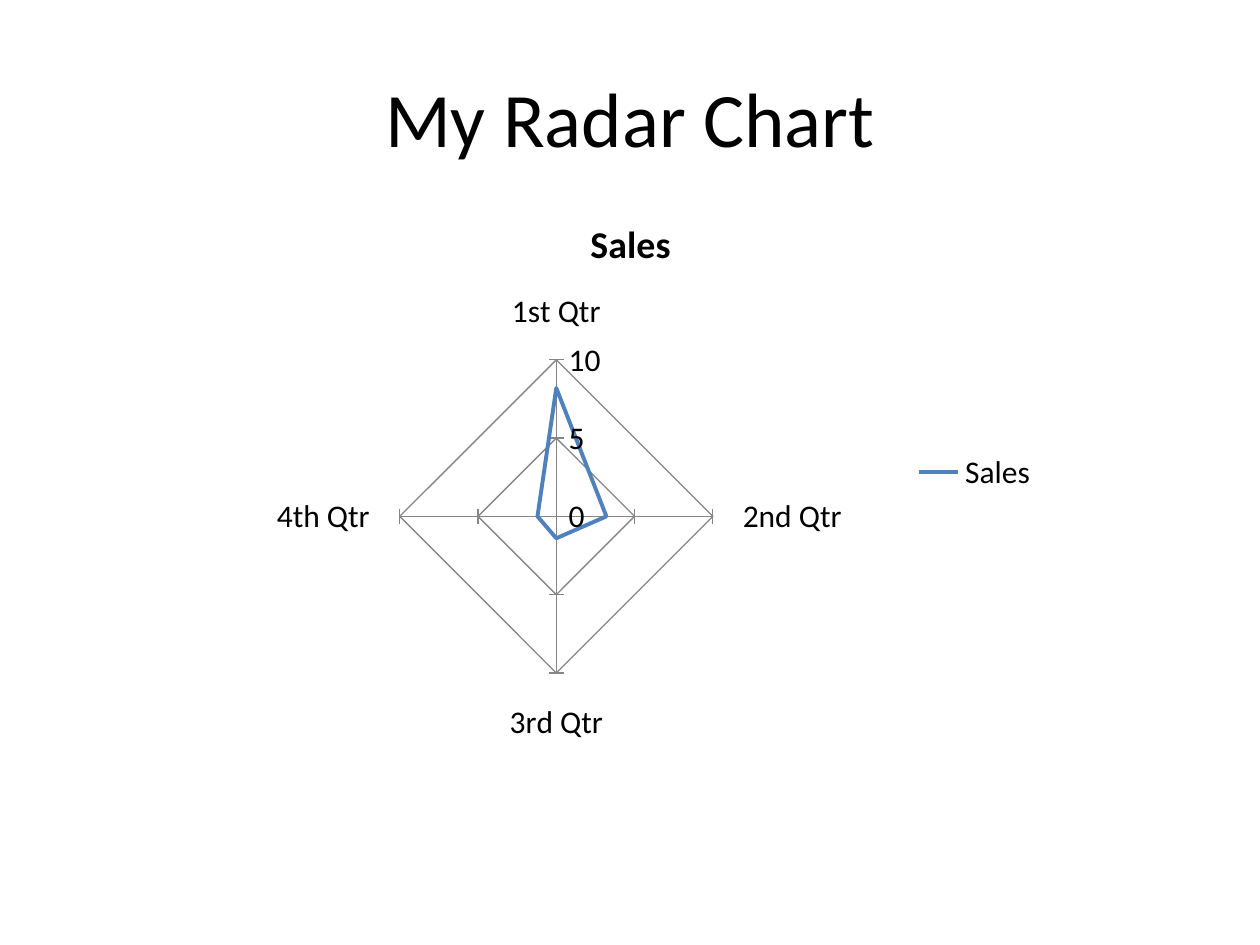
"""Build a slide with a title and a radar chart of quarterly sales."""
from dataclasses import dataclass

import pptx
import pptx.chart.data
import pptx.dml.color
import pptx.enum.chart
import pptx.enum.text
import pptx.util

Inches = pptx.util.Inches
Pt = pptx.util.Pt
RGB = pptx.dml.color.RGBColor


@dataclass(frozen=True)
class Theme:
    font: str = "Calibri"
    text: RGB = RGB(0, 0, 0)
    grid: RGB = RGB(0x86, 0x86, 0x86)
    series: RGB = RGB(0x4F, 0x81, 0xBD)
    title_size: float = 44
    chart_title_size: float = 21.6
    label_size: float = 18


@dataclass(frozen=True)
class Box:
    left: float
    top: float
    width: float
    height: float

    def lengths(self) -> tuple:
        return tuple(Inches(v) for v in (self.left, self.top, self.width, self.height))


THEME = Theme()
SALES = {"1st Qtr": 8.2, "2nd Qtr": 3.2, "3rd Qtr": 1.4, "4th Qtr": 1.2}


def style_font(font, size: float, bold: bool = False) -> None:
    font.name = THEME.font
    font.size = Pt(size)
    font.bold = bold
    font.color.rgb = THEME.text


def style_line(line, color: RGB, width: float) -> None:
    line.color.rgb = color
    line.width = Pt(width)


def add_title(s, text: str, box: Box) -> None:
    sp = s.shapes.add_textbox(*box.lengths())
    tf = sp.text_frame
    tf.word_wrap = True
    tf.vertical_anchor = pptx.enum.text.MSO_ANCHOR.MIDDLE
    tf.text = text
    p = tf.paragraphs[0]
    p.alignment = pptx.enum.text.PP_ALIGN.CENTER
    style_font(p.runs[0].font, THEME.title_size)


def add_radar(s, name: str, values: dict[str, float], box: Box) -> None:
    data = pptx.chart.data.CategoryChartData()
    data.categories = list(values)
    data.add_series(name, list(values.values()))
    kind = pptx.enum.chart.XL_CHART_TYPE.RADAR
    chart = s.shapes.add_chart(kind, *box.lengths(), data).chart
    style_font(chart.font, THEME.label_size)

    chart.has_title = True
    tf = chart.chart_title.text_frame
    tf.text = name
    style_font(tf.paragraphs[0].runs[0].font, THEME.chart_title_size, bold=True)

    chart.has_legend = True
    chart.legend.position = pptx.enum.chart.XL_LEGEND_POSITION.RIGHT
    chart.legend.include_in_layout = False

    for axis in (chart.category_axis, chart.value_axis):
        axis.has_major_gridlines = True
        axis.major_tick_mark = pptx.enum.chart.XL_TICK_MARK.OUTSIDE
        style_line(axis.major_gridlines.format.line, THEME.grid, 0.75)
        style_line(axis.format.line, THEME.grid, 0.75)
    axis = chart.value_axis
    axis.minimum_scale, axis.maximum_scale, axis.major_unit = 0, 10, 5
    axis.major_tick_mark = pptx.enum.chart.XL_TICK_MARK.CROSS
    axis.tick_labels.number_format = "General"
    axis.tick_labels.number_format_is_linked = False

    chart.plots[0].vary_by_categories = False
    series = chart.plots[0].series[0]
    series.smooth = False
    series.marker.style = pptx.enum.chart.XL_MARKER_STYLE.NONE
    style_line(series.format.line, THEME.series, 2.25)


def main() -> None:
    prs = pptx.Presentation()
    prs.slide_width, prs.slide_height = Inches(10), Inches(7.5)
    s = prs.slides.add_slide(prs.slide_layouts[6])
    add_title(s, "My Radar Chart", Box(0.5, 0.3, 9, 1.25))
    add_radar(s, "Sales", SALES, Box(1.67, 1.53, 6.67, 4.44))
    prs.save("out.pptx")


main()
